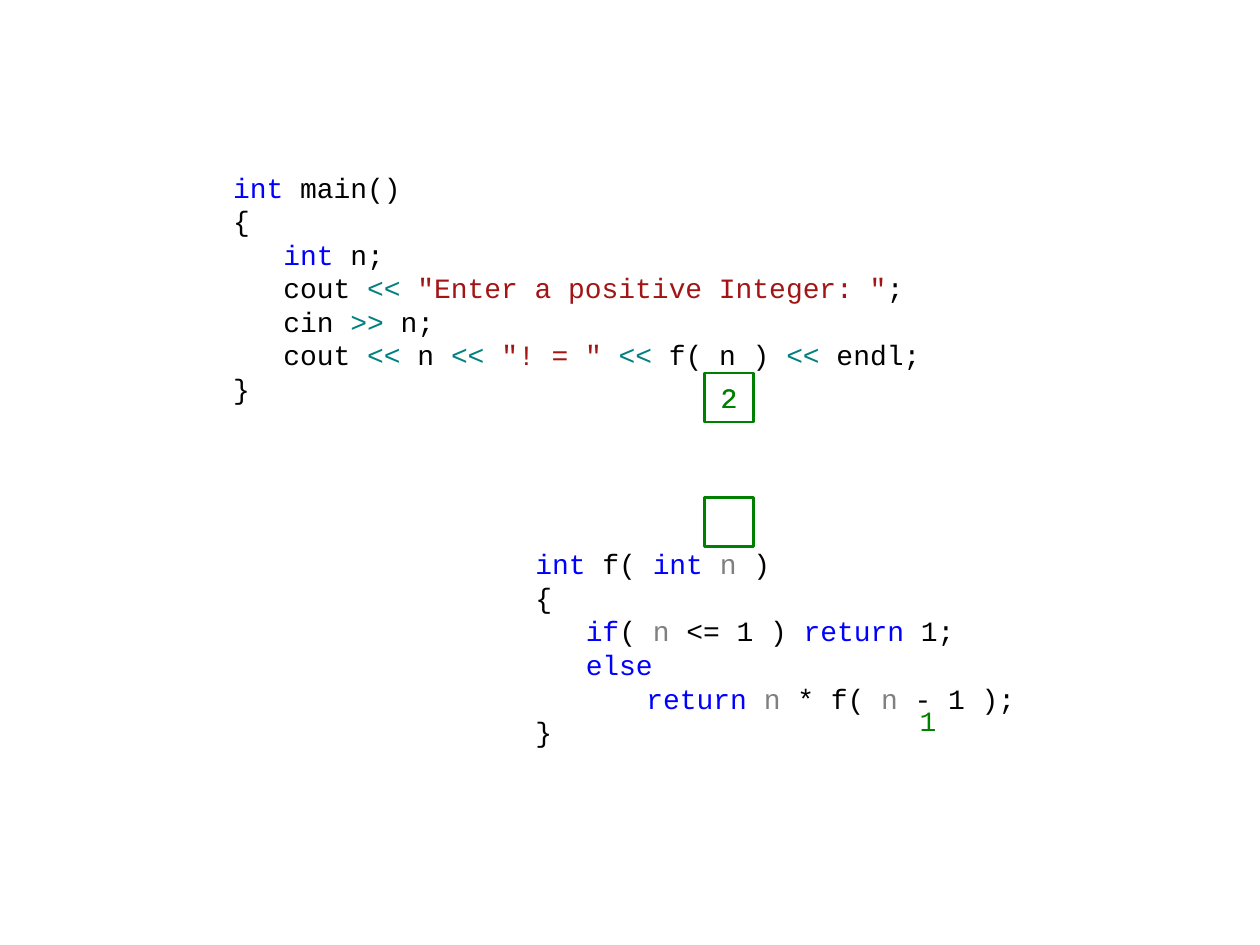
"""Build a slide that traces a recursive factorial call through its C++ source."""
from dataclasses import dataclass

from pptx import Presentation
from pptx.dml.color import RGBColor
from pptx.enum.shapes import MSO_SHAPE
from pptx.enum.text import MSO_ANCHOR, PP_ALIGN
from pptx.util import Inches, Pt


@dataclass(frozen=True)
class Theme:
    plain: str = "000000"
    keyword: str = "0000FF"
    operator: str = "008080"
    string: str = "A31515"
    parameter: str = "808080"
    value: str = "008000"
    font: str = "Courier New"
    size: float = 16
    small: float = 10
    outline: float = 1.5


THEME = Theme()
WIDTH, HEIGHT = 10, 7.5
CELL = 0.39
ARGUMENT_X = 0.559 * WIDTH

MAIN_CODE = [
    [("keyword", "int"), ("plain", " main()")],
    [("plain", "{")],
    [("plain", "   "), ("keyword", "int"), ("plain", " n;")],
    [("plain", "   cout "), ("operator", "<< "),
     ("string", '"Enter a positive Integer: "'), ("plain", ";")],
    [("plain", "   cin "), ("operator", ">>"), ("plain", " n;")],
    [("plain", "   cout "), ("operator", "<<"), ("plain", " n "), ("operator", "<< "),
     ("string", '"! = " '), ("operator", "<<"), ("plain", " f( n ) "),
     ("operator", "<<"), ("plain", " endl;")],
    [("plain", "}")],
]
FACTORIAL_CODE = [
    [("keyword", "int"), ("plain", " f( "), ("keyword", "int "),
     ("parameter", "n"), ("plain", " )")],
    [("plain", "{")],
    [("plain", "   "), ("keyword", "if"), ("plain", "( "), ("parameter", "n"),
     ("plain", " <= 1 ) "), ("keyword", "return"), ("plain", " 1;")],
    [("plain", "   "), ("keyword", "else")],
    [("plain", "      "), ("plain", " ", THEME.small), ("keyword", "return "),
     ("parameter", "n"), ("plain", " * f( "), ("parameter", "n"), ("plain", " - 1 );")],
    [("plain", "}")],
]
LISTINGS = [
    (MAIN_CODE, (1.85, 1.19, 5.51, 2.17), (0, 0.16, 0, 0.04)),
    (FACTORIAL_CODE, (4.21, 4.14, 3.94, 1.77), (0.04, 0.2, 0.04, 0)),
]
VALUES = [
    ("2", ARGUMENT_X, 2.96, True),
    ("", ARGUMENT_X, 3.95, True),
    ("2", ARGUMENT_X, 2.96, False),
    ("1", 7.17, 5.52, False),
]


def set_margins(frame, margins):
    """Set the left, top, right and bottom insets in inches."""
    (frame.margin_left, frame.margin_top,
     frame.margin_right, frame.margin_bottom) = map(Inches, margins)


def add_run(paragraph, role, text, size=THEME.size):
    """Append one coloured run of code."""
    run = paragraph.add_run()
    run.text = text
    run.font.name = THEME.font
    run.font.size = Pt(size)
    run.font.color.rgb = RGBColor.from_string(getattr(THEME, role))


def add_listing(slide, code, place, margins):
    """Add a block of highlighted source code."""
    frame = slide.shapes.add_textbox(*map(Inches, place)).text_frame
    frame.word_wrap = True
    set_margins(frame, margins)
    for row, line in enumerate(code):
        paragraph = frame.add_paragraph() if row else frame.paragraphs[0]
        for token in line:
            add_run(paragraph, *token)


def add_value(slide, value, left, top, framed):
    """Add an argument value, with or without its green cell."""
    place = [Inches(length) for length in (left, top, CELL, CELL)]
    if framed:
        cell = slide.shapes.add_shape(MSO_SHAPE.RECTANGLE, *place)
        cell.shadow.inherit = False
        cell.fill.background()
        cell.line.color.rgb = RGBColor.from_string(THEME.value)
        cell.line.width = Pt(THEME.outline)
    else:
        cell = slide.shapes.add_textbox(*place)
    if value:
        frame = cell.text_frame
        frame.word_wrap = False
        frame.vertical_anchor = MSO_ANCHOR.MIDDLE
        set_margins(frame, (0.1, 0.04, 0.1, 0.04))
        frame.paragraphs[0].alignment = PP_ALIGN.CENTER
        add_run(frame.paragraphs[0], "value", value)


def main():
    """Assemble and save the slide."""
    deck = Presentation()
    deck.slide_width, deck.slide_height = Inches(WIDTH), Inches(HEIGHT)
    slide = deck.slides.add_slide(deck.slide_layouts[6])
    for listing in LISTINGS:
        add_listing(slide, *listing)
    for value in VALUES:
        add_value(slide, *value)
    deck.save("out.pptx")


if __name__ == "__main__":
    main()
